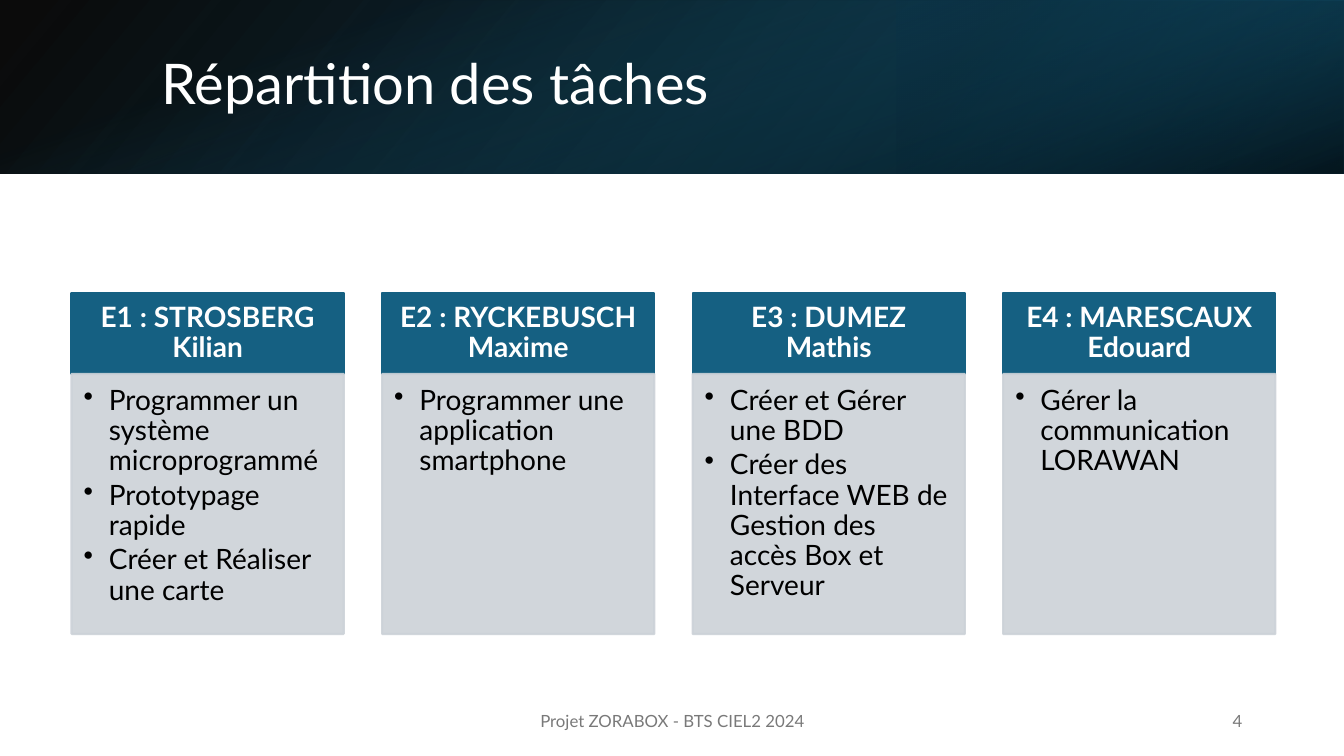
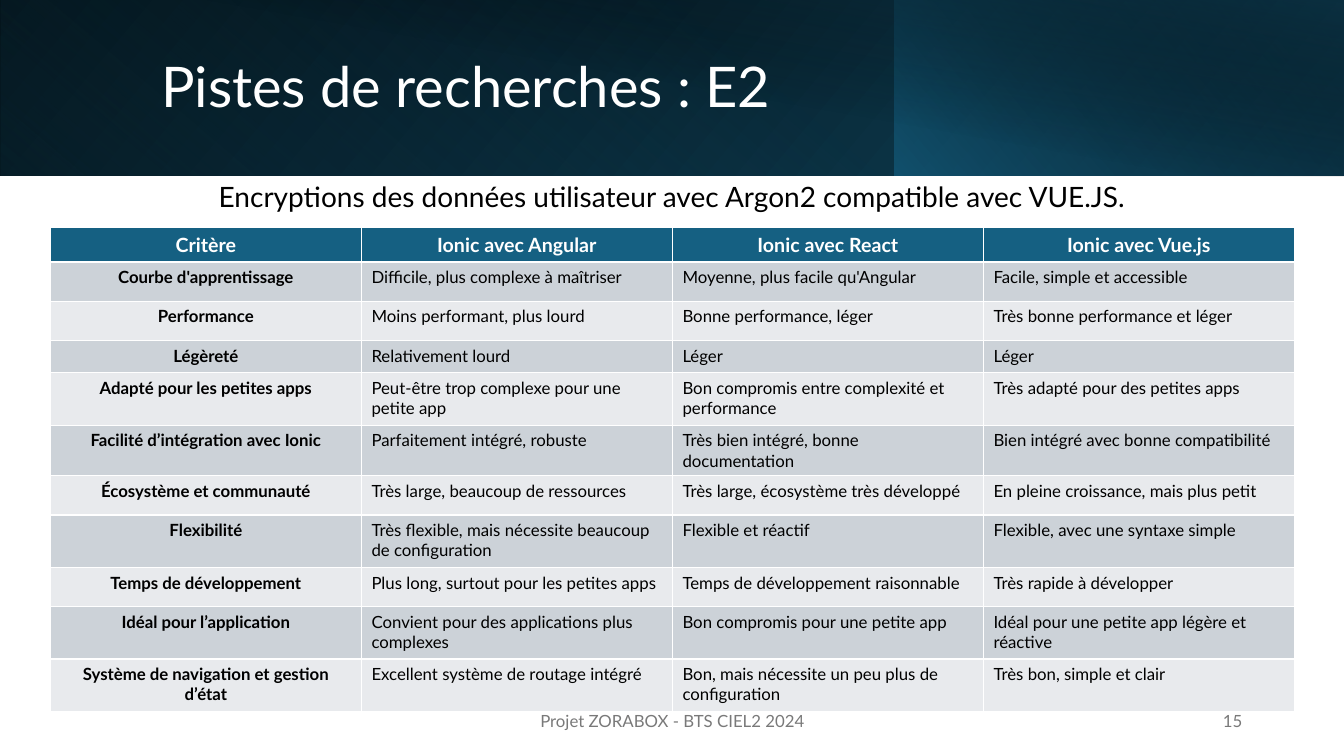
from lxml.etree import SubElement
from pptx import Presentation
from pptx.dml.color import RGBColor
from pptx.enum.shapes import MSO_SHAPE
from pptx.enum.text import MSO_ANCHOR, MSO_AUTO_SIZE, PP_ALIGN
from pptx.oxml.ns import qn
from pptx.util import Inches, Pt

FONT = "Lato"
BLUE = "156082"
NIGHT = "0B3041"
DEEP = "104862"
BLACK = "000000"
WHITE = "FFFFFF"
GREY = "CCD2D8"
PALE = "E8EAED"
FOOTER_GREY = "797979"
FOOTER = "Projet ZORABOX - BTS CIEL2 2024"


def color(value):
    return RGBColor.from_string(value)


def write(frame, text, size=12, fill=BLACK, bold=False, align=PP_ALIGN.LEFT,
          anchor=MSO_ANCHOR.TOP, spacing=None, after=0, bullet=False,
          margins=(0.1, 0.05, 0.1, 0.05)):
    frame.word_wrap = True
    frame.auto_size = MSO_AUTO_SIZE.NONE
    frame.vertical_anchor = anchor
    (frame.margin_left, frame.margin_top,
     frame.margin_right, frame.margin_bottom) = map(Inches, margins)
    frame.text = text
    for paragraph in frame.paragraphs:
        paragraph.alignment = align
        paragraph.line_spacing = spacing
        paragraph.space_after = Pt(after)
        if bullet:
            properties = paragraph._p.get_or_add_pPr()
            properties.set("marL", str(Inches(0.25)))
            properties.set("indent", str(-Inches(0.25)))
            SubElement(properties, qn("a:buChar")).set("char", "•")
        for run in paragraph.runs:
            run.font.name = FONT
            run.font.size = Pt(size)
            run.font.bold = bold
            run.font.color.rgb = color(fill)


pages = [
    {
        "title": "Répartition des tâches",
        "title_box": (1.5, 0.38, 10.98, 0.96),
        "number": "4",
        "bands": [
            ((0, 0, 13.33, 1.72), 0, True, 140, [(0, BLACK, 96), (100, DEEP, 100)]),
            ((8.89, 0, 4.44, 1.72), 180, True, 320, [(19, NIGHT, 68), (100, BLUE, 79)]),
            ((5.8, -5.8, 1.72, 13.33), 90, False, 340, [(23, BLUE, 0), (99, BLACK, 74)]),
        ],
    },
    {
        "title": "Pistes de recherches : E2",
        "title_box": (1.5, 0.32, 10.82, 1.13),
        "number": "15",
        "bands": [
            ((0, 0, 13.33, 1.74), 0, True, 140, [(0, BLACK, 100), (100, DEEP, 100)]),
            ((0, 0, 8.88, 1.74), 180, True, 230, [(20, BLUE, 0), (100, NIGHT, 55)]),
            ((8.87, 0, 4.46, 1.74), 0, True, 220, [(0, BLUE, 66), (100, BLACK, 30)]),
            ((0.5, 0, 12.83, 1.75), 0, False, 280, [(50, BLACK, 0), (99, NIGHT, 52)]),
        ],
    },
]

presentation = Presentation()
presentation.slide_width = Inches(13.33)
presentation.slide_height = Inches(7.5)

slides = []
for page in pages:
    slide = presentation.slides.add_slide(presentation.slide_layouts[5])
    slides.append(slide)
    for box, rotation, flipped, angle, stops in page["bands"]:
        band = slide.shapes.add_shape(MSO_SHAPE.RECTANGLE, *map(Inches, box))
        band.shadow.inherit = False
        band.line.fill.background()
        band.rotation = rotation
        if flipped:
            band.element.spPr.get_or_add_xfrm().set("flipH", "1")
        band.fill.gradient()
        band.fill.gradient_angle = 360 - angle
        for stop, (position, value, _) in zip(band.fill.gradient_stops, stops):
            stop.position = position / 100
            stop.color.rgb = color(value)
        for node, (_, _, opacity) in zip(band.element.spPr.iter(qn("a:srgbClr")), stops):
            SubElement(node, qn("a:alpha")).set("val", str(opacity * 1000))

    title = slide.shapes.title
    title.left, title.top, title.width, title.height = map(Inches, page["title_box"])
    write(title.text_frame, page["title"], size=40, fill=WHITE,
          anchor=MSO_ANCHOR.MIDDLE, spacing=0.9)
    slide.shapes._spTree.append(title.element)

    for text, left, width, align in [
        (page["number"], 9.42, 3, PP_ALIGN.RIGHT),
        (FOOTER, 4.42, 4.5, PP_ALIGN.CENTER),
    ]:
        footer = slide.shapes.add_textbox(Inches(left), Inches(6.95), Inches(width), Inches(0.4))
        write(footer.text_frame, text, fill=FOOTER_GREY, align=align, anchor=MSO_ANCHOR.MIDDLE)

tasks_slide, research_slide = slides

students = [
    ("E1 : STROSBERG Kilian",
     ["Programmer un système microprogrammé", "Prototypage rapide",
      "Créer et Réaliser une carte"]),
    ("E2 : RYCKEBUSCH Maxime", ["Programmer une application smartphone"]),
    ("E3 : DUMEZ Mathis",
     ["Créer et Gérer une BDD",
      "Créer des Interface WEB de Gestion des accès Box et Serveur"]),
    ("E4 : MARESCAUX Edouard", ["Gérer la communication LORAWAN"]),
]
header_format = {"fill": WHITE, "bold": True, "align": PP_ALIGN.CENTER,
                 "anchor": MSO_ANCHOR.MIDDLE, "margins": (0.16, 0.09, 0.16, 0.09)}
list_format = {"bullet": True, "after": 3, "margins": (0.12, 0.12, 0.16, 0.17)}

for column, (student, tasks) in enumerate(students):
    left = 0.71 + 3.08 * column
    for text, top, height, fill, opacity, text_format in [
        (student, 2.91, 0.8, BLUE, 100, header_format),
        ("\n".join(tasks), 3.71, 2.58, GREY, 90, list_format),
    ]:
        card = tasks_slide.shapes.add_shape(
            MSO_SHAPE.RECTANGLE, Inches(left), Inches(top), Inches(2.7), Inches(height))
        card.shadow.inherit = False
        card.fill.solid()
        card.fill.fore_color.rgb = color(fill)
        card.line.color.rgb = color(fill)
        card.line.width = Pt(1.5)
        for node in card.element.spPr.iter(qn("a:srgbClr")):
            SubElement(node, qn("a:alpha")).set("val", str(opacity * 1000))
        write(card.text_frame, text, size=20, spacing=0.9, **text_format)

comparison = [
    (0.34, "Critère", "Ionic avec Angular", "Ionic avec React", "Ionic avec Vue.js"),
    (0.39, "Courbe d'apprentissage", "Difficile, plus complexe à maîtriser",
     "Moyenne, plus facile qu'Angular", "Facile, simple et accessible"),
    (0.39, "Performance", "Moins performant, plus lourd",
     "Bonne performance, léger", "Très bonne performance et léger"),
    (0.32, "Légèreté", "Relativement lourd", "Léger", "Léger"),
    (0.52, "Adapté pour les petites apps", "Peut-être trop complexe pour une petite app",
     "Bon compromis entre complexité et performance", "Très adapté pour des petites apps"),
    (0.39, "Facilité d’intégration avec Ionic", "Parfaitement intégré, robuste",
     "Très bien intégré, bonne documentation", "Bien intégré avec bonne compatibilité"),
    (0.39, "Écosystème et communauté", "Très large, beaucoup de ressources",
     "Très large, écosystème très développé", "En pleine croissance, mais plus petit"),
    (0.52, "Flexibilité", "Très flexible, mais nécessite beaucoup de configuration",
     "Flexible et réactif", "Flexible, avec une syntaxe simple"),
    (0.39, "Temps de développement", "Plus long, surtout pour les petites apps",
     "Temps de développement raisonnable", "Très rapide à développer"),
    (0.52, "Idéal pour l’application", "Convient pour des applications plus complexes",
     "Bon compromis pour une petite app", "Idéal pour une petite app légère et réactive"),
    (0.52, "Système de navigation et gestion d’état", "Excellent système de routage intégré",
     "Bon, mais nécessite un peu plus de configuration", "Très bon, simple et clair"),
]
table = research_slide.shapes.add_table(
    len(comparison), 4, Inches(0.5), Inches(2.26), Inches(12.34), Inches(4.68)).table
for row, (height, *texts) in enumerate(comparison):
    table.rows[row].height = Inches(height)
    header = row == 0
    for column, text in enumerate(texts):
        cell = table.cell(row, column)
        cell.fill.solid()
        cell.fill.fore_color.rgb = color(BLUE if header else GREY if row % 2 else PALE)
        label = header or column == 0
        write(cell.text_frame, text, size=14 if header else 12,
              fill=WHITE if header else BLACK, bold=label,
              align=PP_ALIGN.CENTER if label else PP_ALIGN.LEFT)

subtitle = research_slide.shapes.add_textbox(Inches(0), Inches(1.73), Inches(13.33), Inches(0.77))
write(subtitle.text_frame, "Encryptions des données utilisateur avec Argon2 compatible avec VUE.JS.",
      size=20, align=PP_ALIGN.CENTER)

presentation.save("out.pptx")
